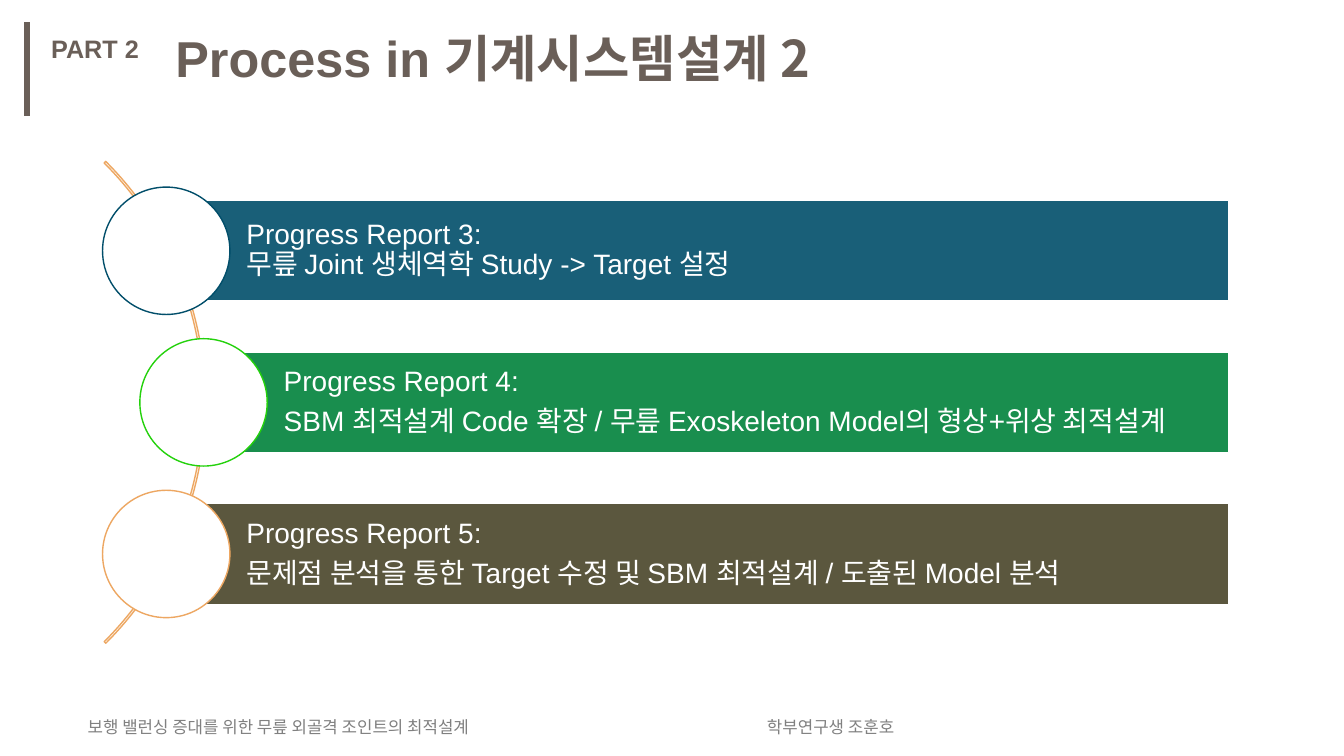
"""Build the slide listing the three progress reports along an arc."""
import pptx
import pptx.dml.color
import pptx.enum.shapes
import pptx.enum.text
import pptx.oxml.ns
import pptx.util
from lxml import etree

Cm = pptx.util.Cm
Pt = pptx.util.Pt
RGBColor = pptx.dml.color.RGBColor
Shape = pptx.enum.shapes.MSO_SHAPE
Anchor = pptx.enum.text.MSO_ANCHOR
AutoSize = pptx.enum.text.MSO_AUTO_SIZE
qn = pptx.oxml.ns.qn

TAUPE = RGBColor(0x6A, 0x5F, 0x58)
GRAY = RGBColor(0x80, 0x80, 0x80)
WHITE = RGBColor(0xFF, 0xFF, 0xFF)
TEAL = RGBColor(0x01, 0x4E, 0x6A)
GREEN = RGBColor(0x00, 0x82, 0x3B)
LIME = RGBColor(0x24, 0xD1, 0x0C)
OLIVE = RGBColor(0x4A, 0x45, 0x2A)
ORANGE = RGBColor(0xED, 0xA7, 0x62)
LATIN, KOREAN = "Arial", "Noto Sans CJK KR"

HEADING = {"size": Pt(36), "bold": True}
PART = {"size": Pt(18), "bold": True}
FOOTER = {"size": Pt(12), "bold": False}
REPORT = {"size": Pt(20), "bold": False}

LABELS = [
    ((1.04, 0.71, 2.74, 1.02), False, TAUPE, PART, [("PART 2", LATIN)]),
    ((4.17, 0.56, 16.79, 1.8), True, TAUPE, HEADING,
     [("Process in ", LATIN), ("기계시스템설계 2", KOREAN)]),
    ((1.96, 17.93, 12.83, 0.76), True, GRAY, FOOTER,
     [("보행 밸런싱 증대를 위한 무릎 외골격 조인트의 최적설계", KOREAN)]),
    ((19.08, 17.93, 4.24, 0.76), True, GRAY, FOOTER, [("학부연구생 조훈호", KOREAN)]),
]
REPORTS = [
    (4.19, TEAL, TEAL,
     ["Progress Report 3:\v무릎 Joint 생체역학 Study -> Target 설정"]),
    (5.13, GREEN, LIME,
     ["Progress Report 4:",
      "SBM 최적설계 Code 확장 / 무릎 Exoskeleton Model의 형상+위상 최적설계"]),
    (4.19, OLIVE, ORANGE,
     ["Progress Report 5:",
      "문제점 분석을 통한 Target 수정 및 SBM 최적설계 / 도출된 Model 분석"]),
]
BAR_TOP, BAR_STEP, BAR_HEIGHT, BAR_RIGHT = 5.05, 3.82, 2.54, 30.96
CIRCLE = 3.21
ARC_LEFT, ARC_SIZE = -11.99, 17.17
ARC_ANGLES = (189, 27, 0.0032)
BAR_FRAME = {"word_wrap": True, "vertical_anchor": Anchor.MIDDLE,
             "margin_left": Cm(2.02), "margin_top": Cm(0.15),
             "margin_right": Cm(0.15), "margin_bottom": Cm(0.15)}
BAR_PARAGRAPH = {"alignment": pptx.enum.text.PP_ALIGN.LEFT,
                 "line_spacing": 0.9, "space_after": Pt(7)}


def apply(target, values):
    for name, value in values.items():
        setattr(target, name, value)


def style(span, family, color, values):
    apply(span.font, {"name": family, **values})
    span.font.color.rgb = color
    latin = span.font._element.find(qn("a:latin"))
    east_asian = etree.Element(qn("a:ea"), typeface=KOREAN)
    latin.addnext(east_asian)


def add_label(page, place, wrap, color, values, spans):
    box = page.shapes.add_textbox(*map(Cm, place))
    apply(box.text_frame, {"word_wrap": wrap, "auto_size": AutoSize.SHAPE_TO_FIT_TEXT})
    para = box.text_frame.paragraphs[0]
    for text, family in spans:
        span = para.add_run()
        span.text = text
        style(span, family, color, values)


def add_outlined(page, kind, place, fill, line):
    shape = page.shapes.add_shape(kind, *map(Cm, place))
    shape.shadow.inherit = False
    if fill is None:
        shape.fill.background()
    else:
        shape.fill.solid()
        shape.fill.fore_color.rgb = fill
    shape.line.color.rgb = line
    shape.line.width = Pt(1)
    return shape


def add_report(page, left, top, fill, ring, lines):
    bar = add_outlined(page, Shape.RECTANGLE,
                       (left, top, BAR_RIGHT - left, BAR_HEIGHT), fill, WHITE)
    color = bar._element.spPr.find(qn("a:solidFill"))[0]
    etree.SubElement(color, qn("a:alpha"), val="90000")
    apply(bar.text_frame, BAR_FRAME)
    bar.text_frame.text = "\n".join(lines)
    for para in bar.text_frame.paragraphs:
        apply(para, BAR_PARAGRAPH)
        for span in para.runs:
            style(span, LATIN, WHITE, REPORT)
    circle_top = top + (BAR_HEIGHT - CIRCLE) / 2
    add_outlined(page, Shape.OVAL,
                 (left - CIRCLE / 2, circle_top, CIRCLE, CIRCLE), WHITE, ring)


def main():
    deck = pptx.Presentation()
    apply(deck, {"slide_width": Cm(33.87), "slide_height": Cm(19.05)})
    page = deck.slides.add_slide(deck.slide_layouts[6])

    rule = page.shapes.add_connector(pptx.enum.shapes.MSO_CONNECTOR.STRAIGHT,
                                     Cm(0.69), Cm(0.56), Cm(0.69), Cm(2.92))
    rule.line.color.rgb = TAUPE
    rule.line.width = Pt(4.5)
    etree.SubElement(rule._element.spPr, qn("a:effectLst"))

    for label in LABELS:
        add_label(page, *label)

    arc_top = BAR_TOP + BAR_STEP + (BAR_HEIGHT - ARC_SIZE) / 2
    arc = add_outlined(page, Shape.BLOCK_ARC,
                       (ARC_LEFT, arc_top, ARC_SIZE, ARC_SIZE), None, ORANGE)
    for index, angle in enumerate(ARC_ANGLES):
        arc.adjustments[index] = angle

    for index, (left, fill, ring, lines) in enumerate(REPORTS):
        add_report(page, left, BAR_TOP + index * BAR_STEP, fill, ring, lines)
    deck.save("out.pptx")


if __name__ == "__main__":
    main()
